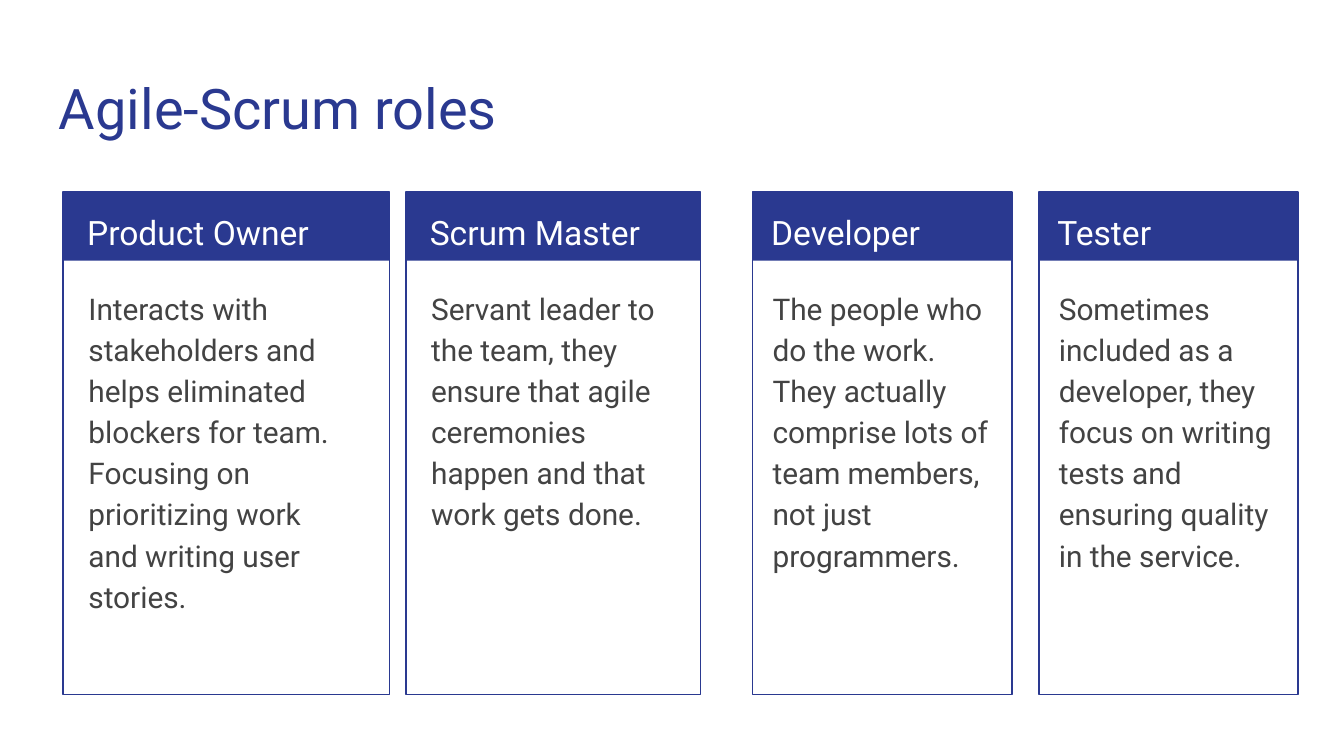
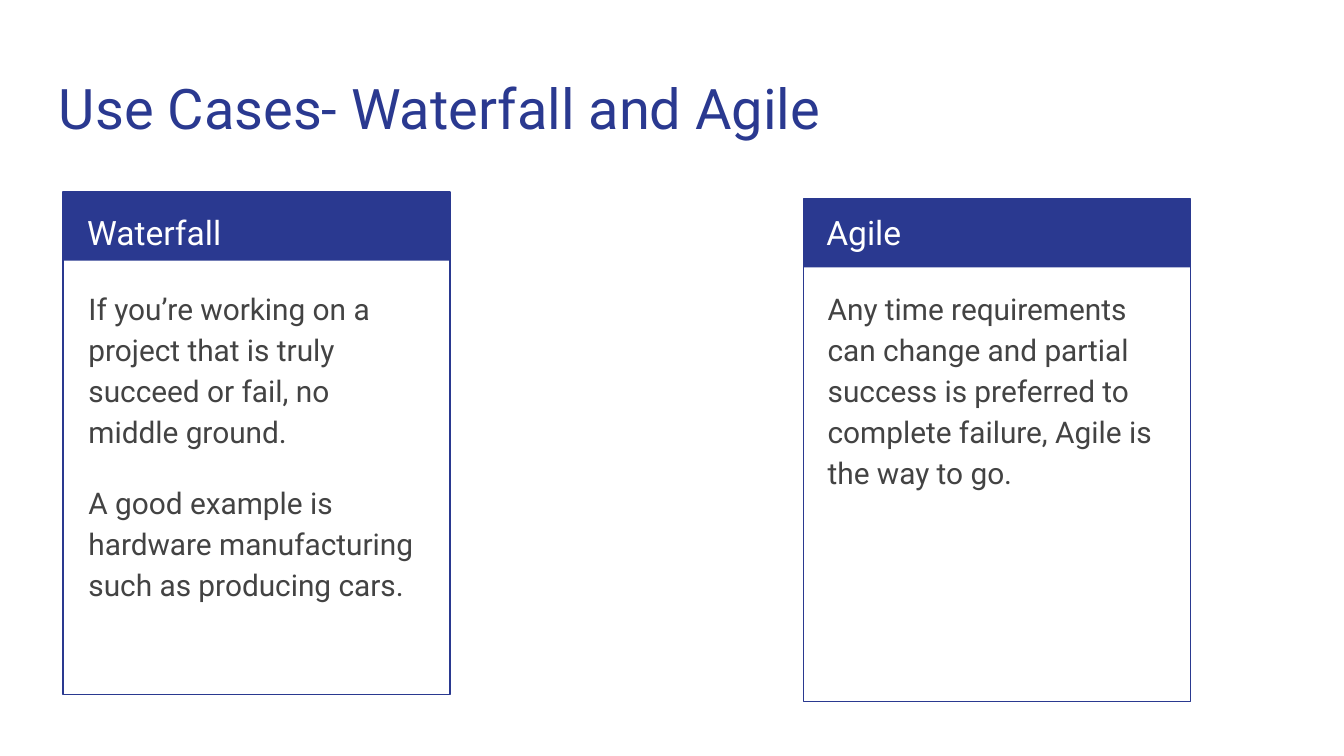
"""Build two slides on Agile roles and on when to use Waterfall or Agile."""
from pptx import Presentation
from pptx import util as u
from pptx.dml.color import RGBColor
from pptx.enum import shapes, text

NAVY = RGBColor(0x2A, 0x39, 0x90)
GREY = RGBColor(0x43, 0x43, 0x43)
WHITE = RGBColor(0xFF, 0xFF, 0xFF)
FONT = "Roboto"
WIDE = u.Inches(10)
TOP = 1.43
BAND, TALL = 0.51, 3.74

ROLES = [
    (0.47, 2.43, 0.08, 2.73, 2.2, "Product Owner",
     "Interacts with stakeholders and helps eliminated blockers for team. "
     "Focusing on prioritizing work and writing user stories."),
    (3.02, 2.19, 0.08, 2.73, 1.93, "Scrum Master",
     "Servant leader to the team, they ensure that agile ceremonies happen "
     "and that work gets done."),
    (5.6, 1.93, 0.04, 1.83, 1.82, "Developer",
     "The people who do the work. They actually comprise lots of team "
     "members, not just programmers."),
    (7.73, 1.93, 0.04, 1.83, 1.82, "Tester",
     "Sometimes included as a developer, they focus on writing tests and "
     "ensuring quality in the service."),
]
WATER = (0.47, 2.88, 0.08, 2.73, 2.71, "Waterfall",
         "If you’re working on a project that is truly succeed or fail, "
         "no middle ground.",
         "A good example is hardware manufacturing such as producing cars.")
AGILE = (5.98, 2.88, 0.07, 2.73, 2.71, "Agile",
         "Any time requirements can change and partial success is preferred "
         "to complete failure, Agile is the way to go.")


def write(slide, box, *lines, size=16, color=GREY, ratio=1.15, gap=0):
    """Add a text box with one paragraph per line."""
    frame = slide.shapes.add_textbox(*map(u.Inches, box)).text_frame
    frame.word_wrap = True
    frame.vertical_anchor = text.MSO_ANCHOR.TOP
    frame.margin_left = frame.margin_right = u.Inches(0.1)
    frame.margin_top = frame.margin_bottom = u.Inches(0.1)
    for num, line in enumerate(lines):
        para = frame.add_paragraph() if num else frame.paragraphs[0]
        para.line_spacing = ratio
        para.space_before = u.Pt(gap if num else 0)
        para.space_after = u.Pt(gap if num == len(lines) - 1 else 0)
        run = para.add_run()
        run.text = line
        run.font.name = FONT
        run.font.size = u.Pt(size)
        run.font.color.rgb = color


def rect(group, box, fill=None, line=None):
    """Add a rectangle with a fill, an outline or both."""
    shape = group.shapes.add_shape(shapes.MSO_SHAPE.RECTANGLE,
                                   *map(u.Inches, box))
    shape.shadow.inherit = False
    if fill is None:
        shape.fill.background()
    else:
        shape.fill.solid()
        shape.fill.fore_color.rgb = fill
    if line is None:
        shape.line.fill.background()
    else:
        shape.line.color.rgb = line
        shape.line.width = u.Pt(0.75)


def card(slide, left, wide, pad, head_w, body_w, head, *body, top=TOP):
    """Add a framed card with a heading band and body text."""
    group = slide.shapes.add_group_shape()
    rect(group, (left, top, wide, BAND), fill=NAVY)
    rect(group, (left, top, wide, TALL), line=NAVY)
    write(slide, (left + pad, TOP, head_w, 0.5), head, size=18, color=WHITE)
    write(slide, (left + pad + 0.01, 2.02, body_w, 3.06), *body, gap=16)


def page(deck, title):
    """Add a white slide with its title."""
    slide = deck.slides.add_slide(deck.slide_layouts[6])
    slide.background.fill.solid()
    slide.background.fill.fore_color.rgb = WHITE
    write(slide, (0.34, 0.45, 9.32, 0.66), title,
          size=30, color=NAVY, ratio=1.0)
    return slide


def main():
    """Build the deck and save it."""
    deck = Presentation()
    deck.slide_width, deck.slide_height = WIDE, WIDE * 9 // 16
    slide = page(deck, "Agile-Scrum roles")
    for role in ROLES:
        card(slide, *role)
    slide = page(deck, "Use Cases- Waterfall and Agile")
    card(slide, *WATER)
    card(slide, *AGILE, top=1.48)
    deck.save("out.pptx")


if __name__ == "__main__":
    main()
